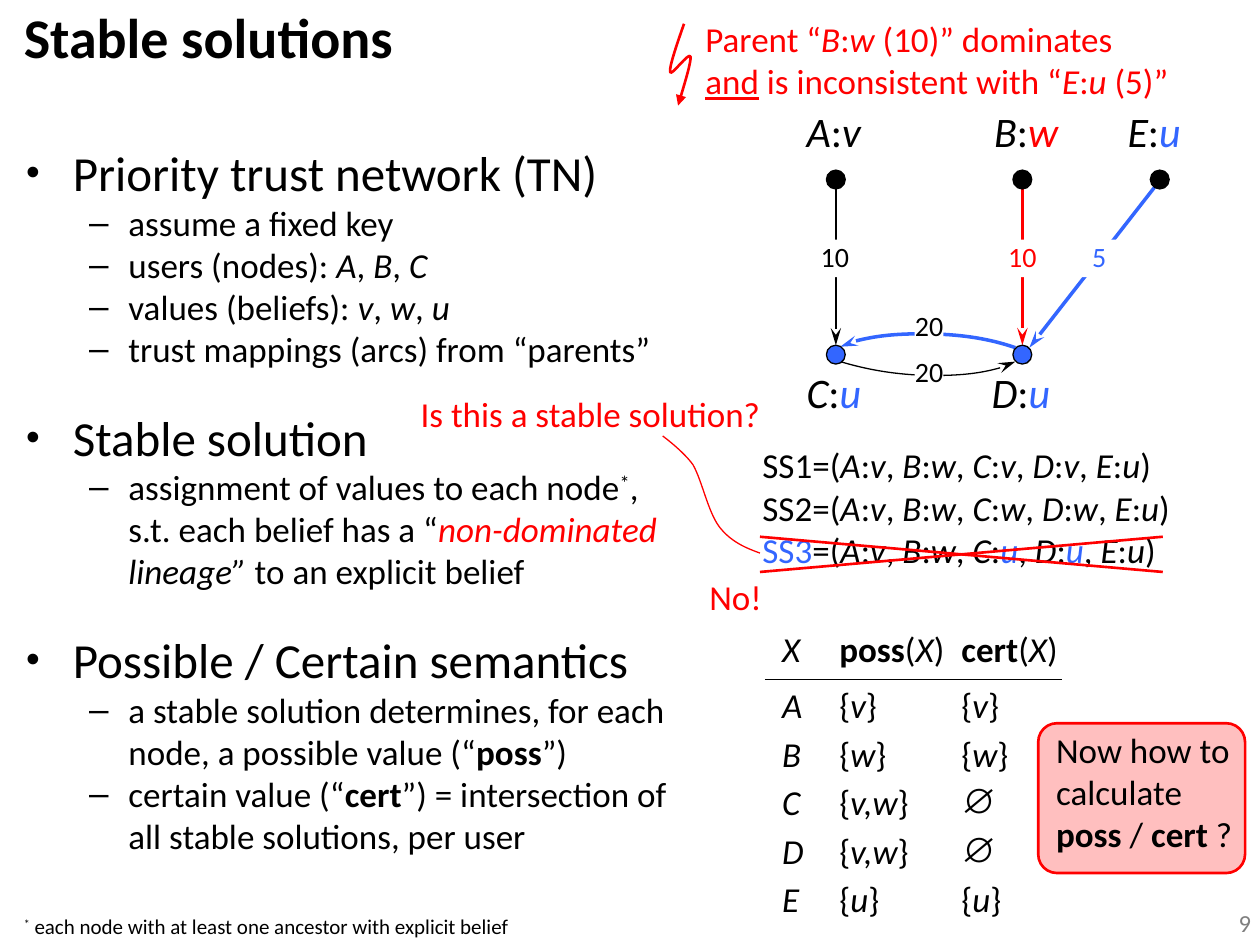
from lxml import etree
from pptx import Presentation
from pptx.dml.color import RGBColor
from pptx.enum.shapes import MSO_CONNECTOR, MSO_SHAPE
from pptx.enum.text import MSO_ANCHOR, PP_ALIGN
from pptx.oxml.ns import qn
from pptx.util import Cm, Pt

STRAIGHT = MSO_CONNECTOR.STRAIGHT
ELLIPSE, ROUNDED = MSO_SHAPE.OVAL, MSO_SHAPE.ROUNDED_RECTANGLE
LEFT, CENTER, RIGHT = PP_ALIGN.LEFT, PP_ALIGN.CENTER, PP_ALIGN.RIGHT
TOP = MSO_ANCHOR.TOP
COLORS = {"black": "000000", "white": "FFFFFF", "red": "FF0000",
          "blue": "3366FF", "gray": "7F7F7F"}
MARKS = "_|~^#$"  # italic, bold, underline, superscript, blue, red
PLAIN_TABLE = "{2D5ABB26-0587-4C30-8999-92F81FD0307C}"


def color(name):
    return RGBColor.from_string(COLORS[name])


def add_xml(parent, tag, **attributes):
    return etree.SubElement(parent, qn(tag), attributes)


class SlideBuilder:
    font = "Calibri"

    def __init__(self, slide):
        self.slide = slide

    def runs(self, paragraph, markup, size=20, base="black"):
        """Add runs; each character of MARKS switches its style on or off."""
        active, text = set(), ""

        def flush():
            if not text:
                return
            run = paragraph.add_run()
            run.text = text
            font = run.font
            font.name = "Arial" if text == "∅" else self.font
            font.size = Pt(size)
            font.italic, font.bold = "_" in active, "|" in active
            font.underline = "~" in active
            font.color.rgb = color("blue" if "#" in active else "red" if "$" in active else base)
            if "^" in active:
                font._element.set("baseline", "30000")

        for character in markup:
            if character in MARKS or character == "\n":
                flush()
                text = ""
                if character == "\n":
                    paragraph.add_line_break()
                else:
                    active ^= {character}
            else:
                text += character
        flush()

    def text(self, box, markup, size=20, base="black", align=LEFT, fill=None):
        shape = self.slide.shapes.add_textbox(*map(Cm, box))
        frame = shape.text_frame
        frame.word_wrap = False
        frame.margin_left = frame.margin_top = frame.margin_right = frame.margin_bottom = 0
        if fill:
            self.fill(shape, fill)
        frame.paragraphs[0].alignment = align
        self.runs(frame.paragraphs[0], markup, size, base)

    def fill(self, shape, name):
        shape.fill.solid()
        shape.fill.fore_color.rgb = color(name)

    def outline(self, shape, name, width, tail=None):
        shape.line.color.rgb = color(name)
        shape.line.width = Pt(width)
        if tail:
            length = "lg" if tail == "stealth" else "med"
            add_xml(shape.line._get_or_add_ln(), "a:tailEnd", type=tail, w="med", len=length)

    def bullets(self, box, sections):
        shape = self.slide.shapes.add_textbox(*map(Cm, box))
        frame = shape.text_frame
        frame.word_wrap = True
        paragraph = frame.paragraphs[0]
        for number, (heading, items) in enumerate(sections):
            if number:
                paragraph = frame.add_paragraph()
                paragraph.space_before = Pt(21.5)
            self.bullet(paragraph, heading, 28, "•", 0.94, 0.94, 80)
            for item in items:
                paragraph = frame.add_paragraph()
                paragraph.level = 1
                self.bullet(paragraph, item, 20, "–", 2.06, 0.79, 100)

    def bullet(self, paragraph, markup, size, character, margin, hanging, percent):
        properties = paragraph._p.get_or_add_pPr()
        properties.set("marL", str(Cm(margin)))
        properties.set("indent", str(-Cm(hanging)))
        add_xml(properties, "a:buSzPct", val=str(percent * 1000))
        add_xml(properties, "a:buFont", typeface="Arial")
        add_xml(properties, "a:buChar", char=character)
        self.runs(paragraph, markup, size)

    def line(self, start, end, name, width, tail=None):
        connector = self.slide.shapes.add_connector(STRAIGHT, *map(Cm, start + end))
        self.outline(connector, name, width, tail)
        add_xml(connector._element.spPr, "a:effectLst")

    def curve(self, points, name, width, tail=None, fill=None):
        """Draw joined cubic curves: a start point, then three points for each."""
        points = [(Cm(x), Cm(y)) for x, y in points]
        builder = self.slide.shapes.build_freeform(*points[0])
        builder.add_line_segments(points[1:], close=False)
        shape = builder.convert_to_shape()
        segments = list(shape._element.iter(qn("a:lnTo")))
        for first in range(0, len(segments), 3):
            cubic = etree.Element(qn("a:cubicBezTo"))
            segments[first].addprevious(cubic)
            for segment in segments[first:first + 3]:
                cubic.append(segment[0])
                segment.getparent().remove(segment)
        if fill:
            self.fill(shape, fill)
        else:
            shape.fill.background()
        self.outline(shape, name, width, tail)
        shape.shadow.inherit = False

    def node(self, x, y, fill, diameter=0.38):
        corner = Cm(x - diameter / 2), Cm(y - diameter / 2)
        shape = self.slide.shapes.add_shape(ELLIPSE, *corner, Cm(diameter), Cm(diameter))
        self.fill(shape, fill)
        self.outline(shape, "black", 0.75)
        shape.shadow.inherit = False

    def callout(self, box, markup):
        shape = self.slide.shapes.add_shape(ROUNDED, *map(Cm, box))
        shape.adjustments[0] = 0.125
        self.fill(shape, "red")
        add_xml(next(shape._element.spPr.iter(qn("a:srgbClr"))), "a:alpha", val="25000")
        self.outline(shape, "red", 1.5)
        shape.shadow.inherit = False
        frame = shape.text_frame
        frame.vertical_anchor = TOP
        frame.margin_left = Cm(0.25)
        frame.margin_top = frame.margin_right = frame.margin_bottom = 0
        frame.paragraphs[0].alignment = LEFT
        self.runs(frame.paragraphs[0], markup)

    def table(self, left, top, widths, indents, header_height, row_height, rows):
        height = header_height + row_height * (len(rows) - 1)
        frame = self.slide.shapes.add_table(
            len(rows), len(widths), Cm(left), Cm(top), Cm(sum(widths)), Cm(height))
        table = frame.table
        table.first_row = table.horz_banding = False
        next(table._tbl.iter(qn("a:tableStyleId"))).text = PLAIN_TABLE
        for column, width in zip(table.columns, widths):
            column.width = Cm(width)
        for i, row in enumerate(rows):
            table.rows[i].height = Cm(row_height if i else header_height)
            for j, markup in enumerate(row):
                cell = table.cell(i, j)
                cell.margin_left = Cm(indents[j])
                cell.margin_top = Cm(0.12 if i else 0.04)
                cell.margin_right = cell.margin_bottom = 0
                self.runs(cell.text_frame.paragraphs[0], markup)
                if i == 0:
                    border = add_xml(cell._tc.get_or_add_tcPr(), "a:lnB", w=str(Pt(0.75)))
                    add_xml(add_xml(border, "a:solidFill"), "a:srgbClr", val=COLORS["black"])
                cell.fill.background()


def draw_network(builder):
    a_x, b_x, e_x, parent_y, child_y, radius = 16.85, 20.61, 23.38, 3.62, 7.15, 0.19
    for markup, left, top, width in (
            ("_A_:_v_", 16.26, 2.13, 1.17), ("_B_:$_w_$", 20.04, 2.13, 1.37),
            ("_E_:#_u_#", 22.73, 2.13, 1.14), ("_C_:#_u_#", 16.26, 7.39, 1.27),
            ("_D_:#_u_#", 19.99, 7.39, 1.37)):
        builder.text((left, top, width, 1.09), markup, 24, fill="white")
    for x, name, width in ((a_x, "black", 0.75), (b_x, "red", 2)):
        builder.line((x, parent_y + radius), (x, child_y - radius), name, width, "stealth")
    builder.line((23.27, 3.78), (20.75, 7.01), "blue", 2, "stealth")
    builder.curve([(16.94, 7.29), (17.6, 7.49), (18.24, 7.57), (18.85, 7.57), (19.43, 7.57),
                   (20.19, 7.47), (20.47, 7.29)], "black", 0.75, "stealth", "white")
    builder.curve([(20.47, 7.01), (19.81, 6.78), (19.15, 6.73), (18.57, 6.73), (17.98, 6.73),
                   (17.2, 6.83), (16.94, 6.99)], "blue", 2, "stealth", "white")
    for x in (a_x, b_x, e_x):
        builder.node(x, parent_y, "black")
    for x in (a_x, b_x):
        builder.node(x, child_y, "blue")
    for weight, left, top, width, name in (
            ("10", 16.54, 4.83, 0.58, "black"), ("10", 20.32, 4.83, 0.58, "red"),
            ("5", 21.79, 4.83, 0.74, "blue"), ("20", 18.44, 6.22, 0.58, "black"),
            ("20", 18.44, 7.14, 0.58, "black")):
        builder.text((left, top, width, 0.76), weight, 16, name, CENTER, "white")


def main():
    presentation = Presentation()
    presentation.slide_width, presentation.slide_height = Cm(25.4), Cm(19.05)
    builder = SlideBuilder(presentation.slides.add_slide(presentation.slide_layouts[6]))

    builder.text((0.48, 0.05, 7.52, 1.37), "|Stable solutions|", 32)
    builder.bullets((0.28, 2.75, 13.56, 10.85), [
        ("Priority trust network (TN)", [
            "assume a fixed key", "users (nodes): _A_, _B_, _C_",
            "values (beliefs): _v_, _w_, _u_", "trust mappings (arcs) from “parents”"]),
        ("Stable solution", [
            "assignment of values to each node^*^, s.t. each belief has a “"
            "_$non-dominated $lineage” _to an explicit belief"]),
        ("Possible / Certain semantics", [
            "a stable solution determines, for each node, a possible value (“|poss|”)",
            "certain value (“|cert|”) = intersection of all stable solutions, per user"])])
    draw_network(builder)

    solutions = [("SS1=(_A_:_v_, _B_:_w_, _C_:_v_, _D_:_v_, _E_:_u_)", 7.9),
                 ("SS2=(_A_:_v_, _B_:_w_, _C_:_w_, _D_:_w_, _E_:_u_)", 8.28),
                 ("#SS3#=(_A_:_v_, _B_:_w_, _C_:_#u#_, _D_:_#u#_, _E_:_u_)", 8.28)]
    for number, (markup, width) in enumerate(solutions):
        builder.text((15.37, 8.94 + 0.86 * number, width, 0.86), markup)
    for start_y, end_y in ((11.53, 10.82), (10.82, 11.53)):
        builder.line((15.32, start_y), (23.44, end_y), "red", 1.5)

    builder.text((14.22, 0.36, 9.42, 1.78), "Parent “_B_:_w _(10)” dominates \n"
                 "~and~ is inconsistent with “_E_:_u_ (5)”", base="red")
    builder.text((8.48, 7.92, 6.91, 0.91), "Is this a stable solution?", base="red")
    builder.text((14.3, 11.6, 1.09, 0.91), "No!", base="red")
    builder.curve([(15.32, 11.15), (15.04, 11.05), (14.73, 10.92), (14.5, 10.62), (14.27, 10.31),
                   (14.15, 9.68), (13.97, 9.37), (13.77, 9.09), (13.36, 8.79), (13.36, 8.79)],
                  "red", 0.75)
    builder.curve([(13.79, 0.48), (13.64, 0.91), (13.49, 1.35), (13.51, 1.45), (13.51, 1.57),
                   (13.89, 1.04), (13.92, 1.14), (13.94, 1.24), (13.67, 2.13), (13.67, 2.13)],
                  "red", 1.5, "triangle", "white")

    builder.table(15.42, 12.65, (1.35, 2.46, 2.18), (0.35, 0.15, 0.15), 1.04, 0.98, [
        ("_X_", "|poss|(_X_)", "|cert|(_X_)"),
        ("_A_", "{_v_}", "{_v_}"), ("_B_", "{_w_}", "{_w_}"), ("_C_", "{_v,w_}", "∅"),
        ("_D_", "{_v,w_}", "∅"), ("_E_", "{_u_}", "{_u_}")])
    builder.callout((20.93, 14.58, 4.17, 3.02), "Now how to \ncalculate \n|poss |/ |cert| ?")
    builder.text((0.48, 18.42, 10.2, 0.51),
                 "^*^ each node with at least one ancestor with explicit belief", 12)
    builder.text((24.64, 18.31, 0.58, 0.61), "9", 14, "gray", RIGHT)
    presentation.save("out.pptx")


if __name__ == "__main__":
    main()
